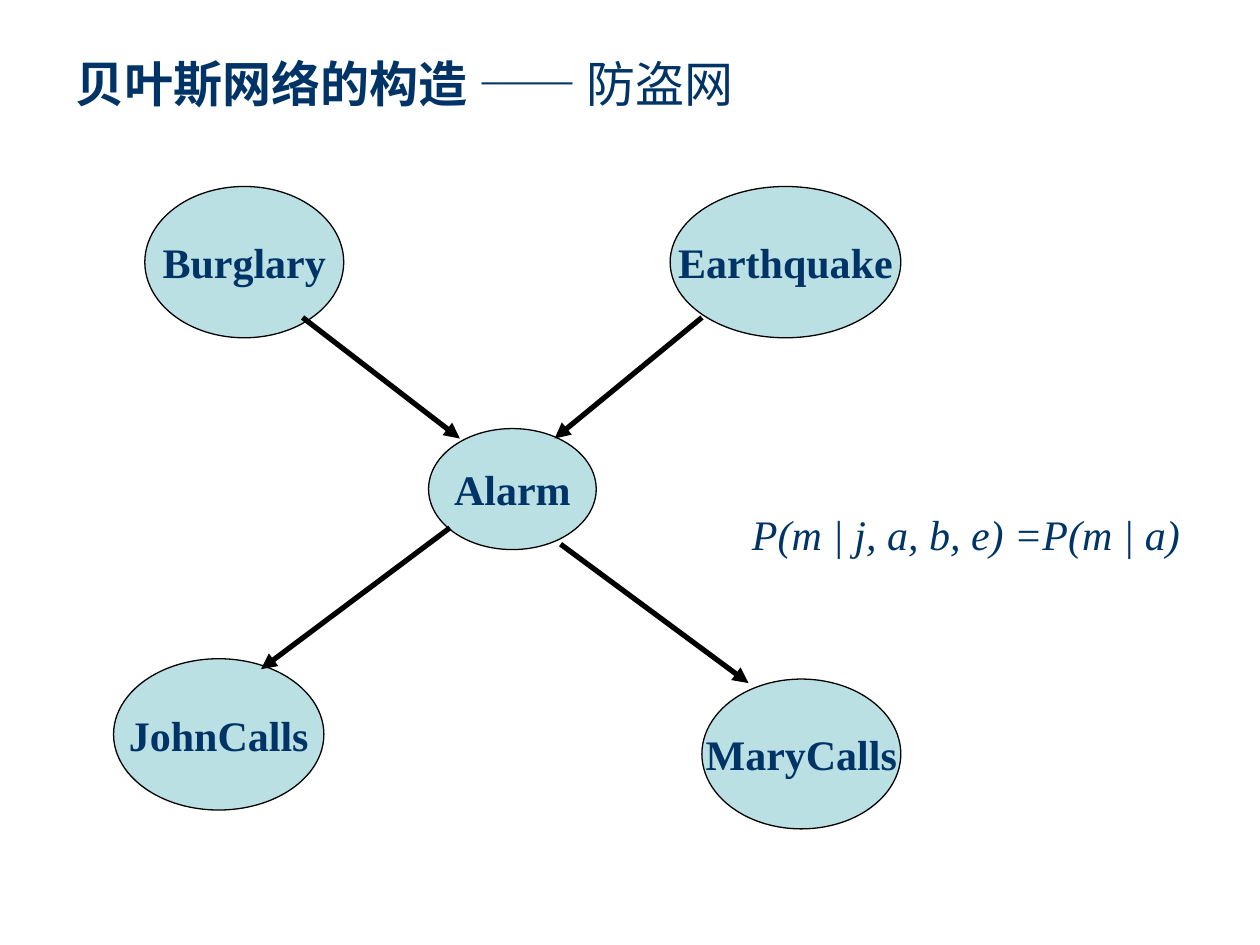
from pptx import Presentation
from pptx.dml.color import RGBColor as RGB
from pptx.enum.shapes import MSO_CONNECTOR as LINE, MSO_SHAPE as SHAPE
from pptx.enum.text import MSO_ANCHOR as ANCHOR, MSO_AUTO_SIZE as FIT, PP_ALIGN as ALIGN
from pptx.oxml.ns import qn
from pptx.util import Cm, Pt
from lxml.etree import SubElement

TITLE = (("贝叶斯网络的构造 ", True), ("—— 防盗网", False))
RULE = "P(m | j, a, b, e) =P(m | a)"

# Left, top, width and height in cm
TITLE_BOX = (1.27, 0.84, 22.86, 1.68)
RULE_BOX = (14.91, 10.13, 9.19, 1.27)
NODES = {
    "Burglary": (2.92, 3.76, 4.01, 3.05),
    "Earthquake": (13.51, 3.76, 4.65, 3.05),
    "MaryCalls": (14.15, 13.69, 4.01, 3.02),
    "JohnCalls": (2.29, 13.28, 4.24, 3.05),
    "Alarm": (8.64, 8.64, 3.38, 2.44),
}
# Start x, y and end x, y in cm
ARROWS = [
    (14.15, 6.4, 11.18, 8.84),   # Earthquake to Alarm
    (6.1, 6.4, 9.27, 8.84),      # Burglary to Alarm
    (9.07, 10.64, 5.26, 13.49),  # Alarm to JohnCalls
    (11.3, 10.97, 15.09, 13.77), # Alarm to MaryCalls
]
THEME = {
    "ink": RGB(0x00, 0x33, 0x66),
    "fill": RGB(0xBB, 0xE0, 0xE3),
    "line": RGB(0, 0, 0),
    "head": ("Arial", 28),
    "text": ("Times New Roman", 24),
    "edge": 0.75,
    "arrow": 3,
}


def cm(nums):
    return [Cm(n) for n in nums]


def style(para, kind, align=ALIGN.LEFT, bold=None, italic=None):
    name, size = THEME[kind]
    font = para.font
    font.name, font.size = name, Pt(size)
    font.bold, font.italic = bold, italic
    font.color.rgb = THEME["ink"]
    para.alignment = align


def add_title(slide):
    box = slide.shapes.title
    box.left, box.top, box.width, box.height = cm(TITLE_BOX)
    frame = box.text_frame
    frame.auto_size = FIT.NONE
    frame.vertical_anchor = ANCHOR.MIDDLE
    para = frame.paragraphs[0]
    for text, bold in TITLE:
        run = para.add_run()
        run.text, run.font.bold = text, bold
    style(para, "head")


def add_node(slide, name, box):
    node = slide.shapes.add_shape(SHAPE.OVAL, *cm(box))
    node.shadow.inherit = False
    node.fill.solid()
    node.fill.fore_color.rgb = THEME["fill"]
    node.line.color.rgb = THEME["line"]
    node.line.width = Pt(THEME["edge"])
    frame = node.text_frame
    frame.word_wrap = False
    frame.vertical_anchor = ANCHOR.MIDDLE
    frame.text = name
    style(frame.paragraphs[0], "text", ALIGN.CENTER, bold=True)


def add_arrow(slide, ends):
    arrow = slide.shapes.add_connector(LINE.STRAIGHT, *cm(ends))
    arrow.line.color.rgb = THEME["line"]
    arrow.line.width = Pt(THEME["arrow"])
    SubElement(arrow.line._get_or_add_ln(), qn("a:tailEnd"), type="triangle")
    SubElement(arrow._element.spPr, qn("a:effectLst"))


def add_rule(slide):
    frame = slide.shapes.add_textbox(*cm(RULE_BOX)).text_frame
    frame.word_wrap = True
    frame.auto_size = FIT.SHAPE_TO_FIT_TEXT
    frame.text = RULE
    style(frame.paragraphs[0], "text", italic=True)


def main():
    deck = Presentation()
    deck.slide_width, deck.slide_height = cm((25.4, 19.05))
    slide = deck.slides.add_slide(deck.slide_layouts.get_by_name("Title Only"))
    add_title(slide)
    for name, box in NODES.items():
        add_node(slide, name, box)
    for ends in ARROWS:
        add_arrow(slide, ends)
    add_rule(slide)
    deck.save("out.pptx")


if __name__ == "__main__":
    main()
